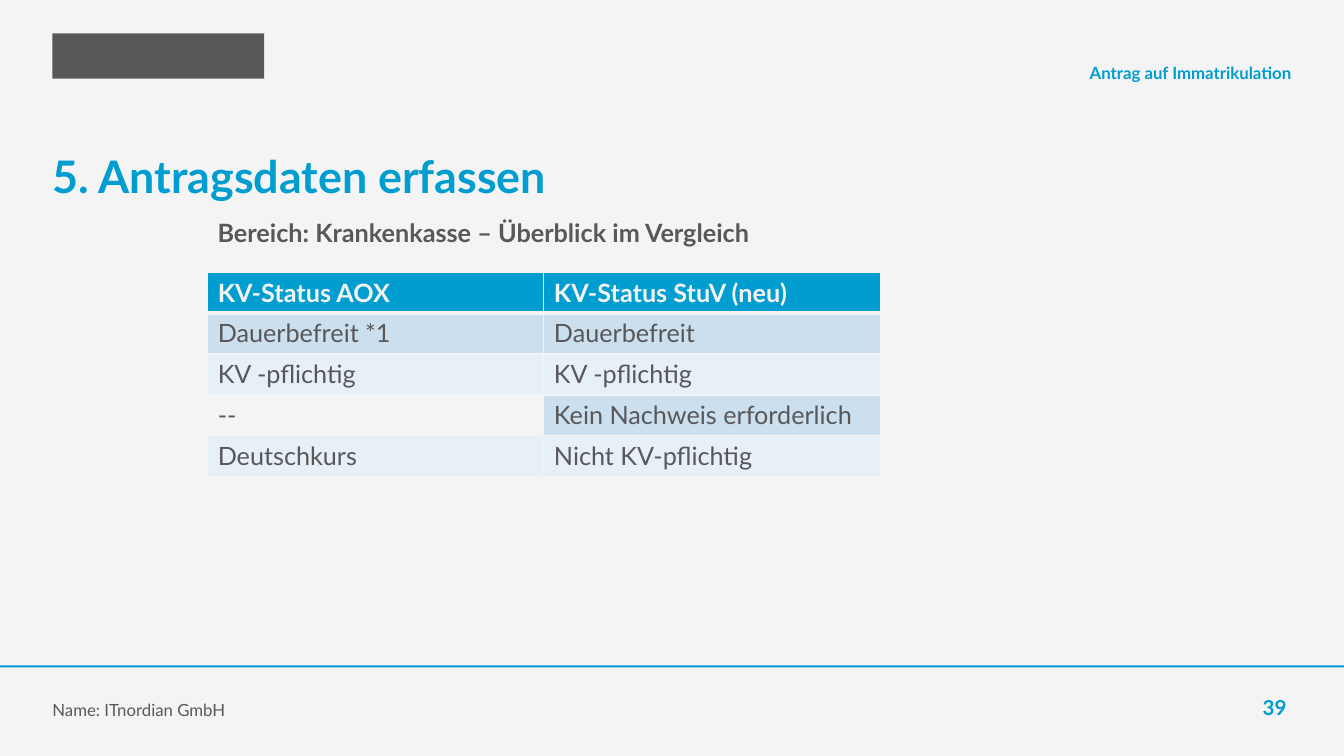
from lxml.etree import SubElement
from pptx import Presentation
from pptx.dml.color import RGBColor as RGB
from pptx.enum.shapes import MSO_SHAPE as Shape
from pptx.enum.text import MSO_ANCHOR as Anchor, MSO_AUTO_SIZE as Fit, PP_ALIGN as Align
from pptx.oxml.ns import qn
from pptx.util import Inches, Pt

BLUE = RGB(0x00, 0x9D, 0xD1)
GREY = RGB(0x58, 0x58, 0x5A)
PAPER = RGB(0xF4, 0xF4, 0xF4)
BAND = RGB(0xCC, 0xDF, 0xEE)
PALE = RGB(0xE7, 0xEF, 0xF7)
FONT = "Lato"
LEFT, WIDE = 0.52, 12.29

ROWS = [
    ("KV-Status AOX", "KV-Status StuV (neu)"),
    ("Dauerbefreit *1", "Dauerbefreit"),
    ("KV -pflichtig", "KV -pflichtig"),
    ("--", "Kein Nachweis erforderlich"),
    ("Deutschkurs", "Nicht KV-pflichtig"),
]


def style(para, size, color, bold=False, align=Align.LEFT):
    font = para.font
    font.name, font.size, font.bold = FONT, Pt(size), bold
    font.color.rgb = color
    para.alignment = align


def inset(frame, right=0.0):
    frame.margin_left = frame.margin_top = frame.margin_bottom = 0
    frame.margin_right = Inches(right)


def label(slide, box, text, size, color, bold=False, align=Align.LEFT, right=0.0):
    """Place a line of text on the bottom of its box."""
    frame = slide.shapes.add_textbox(*map(Inches, box)).text_frame
    frame.word_wrap = True
    frame.vertical_anchor = Anchor.BOTTOM
    inset(frame, right)
    frame.text = text
    style(frame.paragraphs[0], size, color, bold, align)


def bar(slide, box, color):
    shape = slide.shapes.add_shape(Shape.RECTANGLE, *map(Inches, box))
    shape.shadow.inherit = False
    shape.fill.solid()
    shape.fill.fore_color.rgb = color
    shape.line.fill.background()


def header(slide, left, top, width):
    # Plain block in the logo's place, topic on the right
    bar(slide, (left, top, 2.1, 0.45), GREY)
    half = 7.56
    label(slide, (left + width - half, top + 0.1, half, 0.39),
          "Antrag auf Immatrikulation", 12, BLUE, True, Align.RIGHT)


def heading(slide, box):
    title = slide.shapes.title
    title.left, title.top, title.width, title.height = map(Inches, box)
    frame = title.text_frame
    frame.auto_size = Fit.NONE
    frame.vertical_anchor = Anchor.TOP
    inset(frame)
    frame.text = "5. Antragsdaten erfassen"
    style(frame.paragraphs[0], 32, BLUE, True)


def footer(slide, left, top, width):
    # Rule across the slide, name on the left, page on the right
    bar(slide, (0, top, 13.33, 0.02), BLUE)
    line, page = top + 0.15, 1.05
    label(slide, (left, line, 7.56, 0.39), "Name: ITnordian GmbH", 12, GREY)
    label(slide, (left + width - page, line, page, 0.39), "39", 14.7, BLUE,
          True, Align.RIGHT, 0.05)


def border(cell, head):
    props = cell._tc.get_or_add_tcPr()
    edges = {"L": 1, "R": 1, "T": 1, "B": 3 if head else 1}
    for spot, (side, width) in enumerate(edges.items()):
        line = SubElement(props, qn(f"a:ln{side}"), w=str(Pt(width)))
        fill = SubElement(line, qn("a:solidFill"))
        SubElement(fill, qn("a:srgbClr"), val=str(PAPER))
        props.insert(spot, line)


def grid(slide, left, top, width, height):
    table = slide.shapes.add_table(
        len(ROWS), len(ROWS[0]), *map(Inches, (left, top, width, height))).table
    table.horz_banding = False
    for r, row in enumerate(ROWS):
        head = r == 0
        for c, text in enumerate(row):
            cell = table.cell(r, c)
            cell.text = text
            style(cell.text_frame.paragraphs[0], 18, PAPER if head else GREY, head)
            if text == "--":
                cell.fill.background()
            else:
                cell.fill.solid()
                cell.fill.fore_color.rgb = BLUE if head else BAND if r % 2 else PALE
            border(cell, head)


def body(slide, left, top):
    # Subheading above the comparison
    box = slide.shapes.add_textbox(*map(Inches, (left, top, 6.34, 0.4)))
    frame = box.text_frame
    frame.word_wrap = True
    frame.auto_size = Fit.SHAPE_TO_FIT_TEXT
    frame.text = "Bereich: Krankenkasse – Überblick im Vergleich"
    para = frame.paragraphs[0]
    para.space_before = para.space_after = Pt(6)
    style(para, 18, GREY, True)
    grid(slide, left, top + 0.59, 6.67, 2.03)


def main():
    deck = Presentation()
    deck.slide_width, deck.slide_height = Inches(13.33), Inches(7.5)
    slide = deck.slides.add_slide(deck.slide_layouts[5])
    back = slide.background.fill
    back.solid()
    back.fore_color.rgb = PAPER
    header(slide, LEFT, 0.33, WIDE)
    heading(slide, (LEFT, 1.48, WIDE, 0.63))
    body(slide, 2.06, 2.11)
    footer(slide, LEFT, 6.6, WIDE)
    deck.save("out.pptx")


if __name__ == "__main__":
    main()
